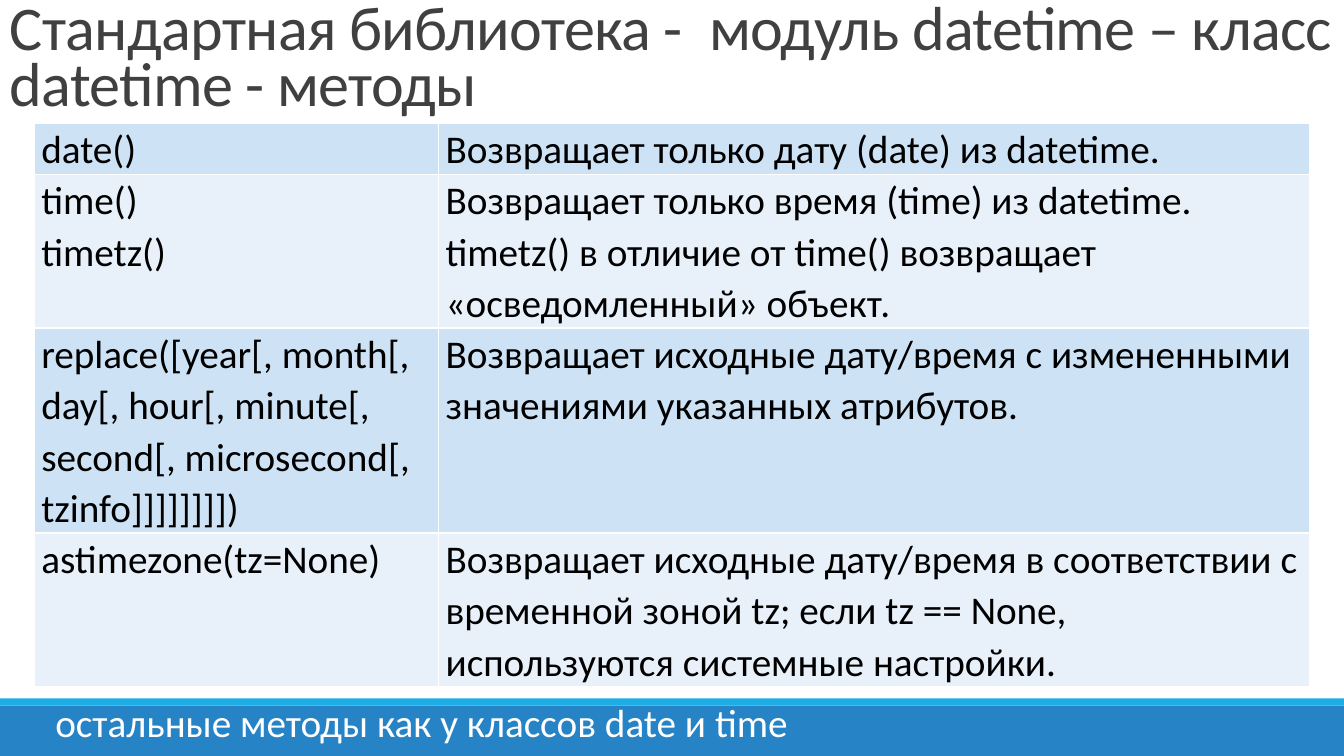
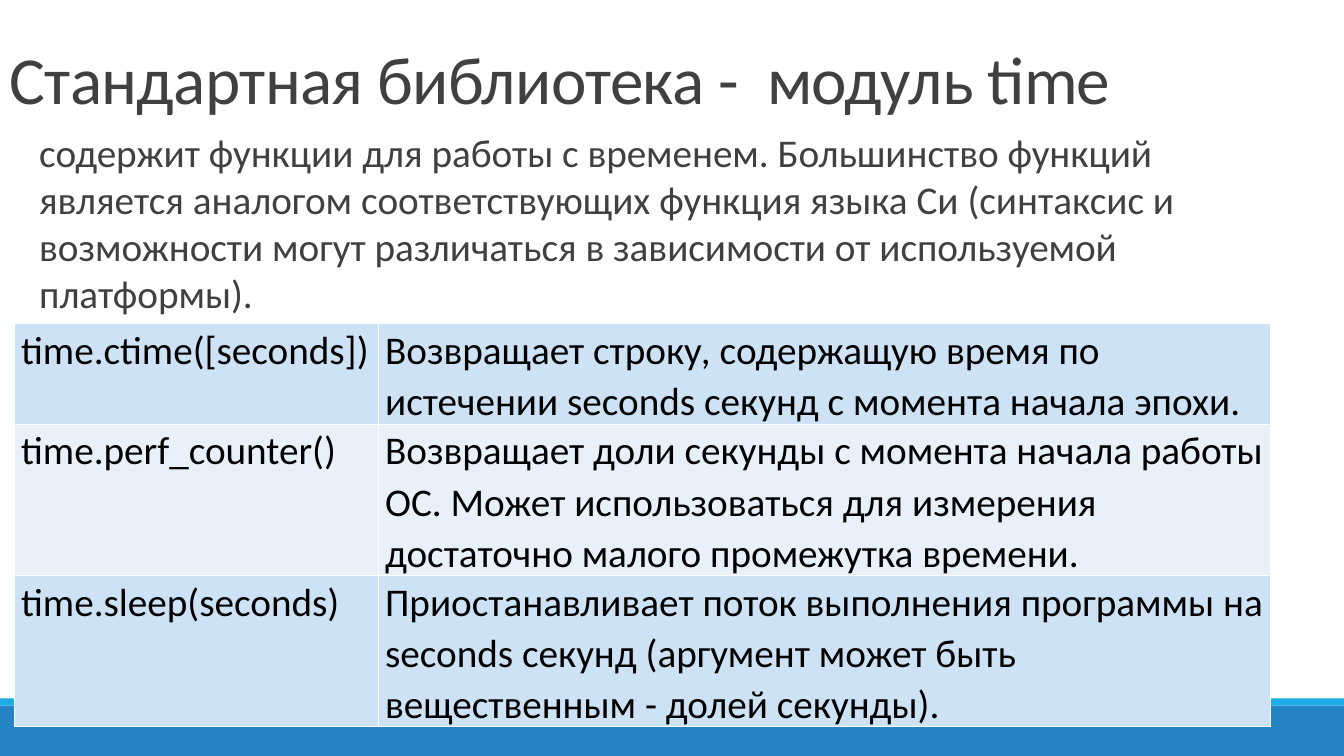
from lxml.etree import SubElement
from pptx import Presentation
from pptx.dml.color import RGBColor
from pptx.enum.shapes import MSO_SHAPE
from pptx.enum.text import MSO_ANCHOR, MSO_AUTO_SIZE
from pptx.oxml.ns import qn
from pptx.util import Emu, Pt

PX = 9144  # 100 px to the inch
WIDTH, HEIGHT = 1333, 750
FONT = "Calibri"
BODY_SIZE = 28
LINE_HEIGHT = 50
TITLE_HEIGHT = 122
BAND_TOP, STRIPE_HEIGHT = 700, 7
DARK, BLACK, WHITE = "404040", "000000", "FFFFFF"
BAND, STRIPE = "2683C6", "1CADE4"
ROW_FILLS = ("CDE3F5", "E8F1FA")


def px(*lengths):
    return [Emu(length * PX) for length in lengths]


def color(hex_string):
    return RGBColor.from_string(hex_string)


class Slides:
    def __init__(self):
        self.deck = Presentation()
        self.deck.slide_width, self.deck.slide_height = px(WIDTH, HEIGHT)
        self.page = None

    def add_page(self, title, size, spacing):
        self.page = self.deck.slides.add_slide(self.deck.slide_layouts[6])
        self.rectangle(0, BAND_TOP, WIDTH, HEIGHT - BAND_TOP, BAND)
        self.rectangle(0, BAND_TOP - STRIPE_HEIGHT, WIDTH, STRIPE_HEIGHT, STRIPE)
        frame = self.text(0, 0, WIDTH, TITLE_HEIGHT, title, DARK, size)
        frame.auto_size = MSO_AUTO_SIZE.NONE
        frame.vertical_anchor = MSO_ANCHOR.BOTTOM
        para = frame.paragraphs[0]
        para.line_spacing = spacing
        for span in para.runs:
            span._r.get_or_add_rPr().set("spc", "-50")

    def rectangle(self, left, top, width, height, fill):
        box = self.page.shapes.add_shape(
            MSO_SHAPE.RECTANGLE, *px(left, top, width, height))
        box.shadow.inherit = False
        box.fill.solid()
        box.fill.fore_color.rgb = color(fill)
        box.line.fill.background()

    def add_span(self, para, text, ink, size=BODY_SIZE):
        span = para.add_run()
        span.text = text
        span.font.name = FONT
        span.font.size = Pt(size)
        span.font.color.rgb = color(ink)

    def text(self, left, top, width, height, text, ink, size=BODY_SIZE, wrap=True):
        box = self.page.shapes.add_textbox(*px(left, top, width, height))
        frame = box.text_frame
        frame.word_wrap = wrap
        frame.auto_size = MSO_AUTO_SIZE.SHAPE_TO_FIT_TEXT
        self.add_span(frame.paragraphs[0], text, ink, size)
        return frame

    def table(self, left, top, widths, rows):
        """Each row is (line count, name, description)."""
        heights = [row[0] * LINE_HEIGHT for row in rows]
        table = self.page.shapes.add_table(
            len(rows), len(widths),
            *px(left, top, sum(widths), sum(heights))).table
        table.first_row = table.horz_banding = False
        for column, width in zip(table.columns, px(*widths)):
            column.width = width
        for index, (_, *texts) in enumerate(rows):
            table.rows[index].height = px(heights[index])[0]
            for cell, text in zip(table.rows[index].cells, texts):
                self.fill_cell(cell, text, ROW_FILLS[index % 2])

    def fill_cell(self, cell, text, fill):
        properties = cell._tc.get_or_add_tcPr()
        for side in ("a:lnL", "a:lnR", "a:lnT", "a:lnB"):
            line = SubElement(properties, qn(side), w=str(Pt(1)))
            paint = SubElement(line, qn("a:solidFill"))
            SubElement(paint, qn("a:srgbClr"), val=WHITE)
        cell.fill.solid()
        cell.fill.fore_color.rgb = color(fill)
        cell.margin_left, cell.margin_right, cell.margin_top, cell.margin_bottom = px(7, 7, 0, 0)
        frame = cell.text_frame
        for index, line_text in enumerate(text.split("\n")):
            para = frame.add_paragraph() if index else frame.paragraphs[0]
            para.line_spacing = 1.07
            self.add_span(para, line_text, BLACK)


def main():
    slides = Slides()

    slides.add_page("Стандартная библиотека -  модуль datetime – класс datetime - методы", 44.4, 0.75)
    slides.table(34, 122, (401, 864), [
        (1, "date()", "Возвращает только дату (date) из datetime."),
        (3, "time()\ntimetz()",
         "Возвращает только время (time) из datetime. timetz() в отличие от time() "
         "возвращает «осведомленный» объект."),
        (4, "replace([year[, month[, day[, hour[, minute[, second[, microsecond[, tzinfo]]]]]]]])",
         "Возвращает исходные дату/время с измененными значениями указанных атрибутов."),
        (3, "astimezone(tz=None)",
         "Возвращает исходные дату/время в соответствии с временной зоной tz; "
         "если tz == None, используются системные настройки."),
    ])
    slides.text(45, 688, 755, 57, "остальные методы как у классов date и time", WHITE, wrap=False)

    slides.add_page("Стандартная библиотека -  модуль time", 48, 0.85)
    slides.text(
        29, 122, 1158, 199,
        "содержит функции для работы с временем. Большинство функций является аналогом "
        "соответствующих функция языка Си (синтаксис и возможности могут различаться "
        "в зависимости от используемой платформы).", DARK)
    slides.table(14, 321, (361, 885), [
        (2, "time.ctime([seconds])",
         "Возвращает строку, содержащую время по истечении seconds секунд с момента начала эпохи."),
        (3, "time.perf_counter()",
         "Возвращает доли секунды с момента начала работы ОС. Может использоваться "
         "для измерения достаточно малого промежутка времени."),
        (3, "time.sleep(seconds)",
         "Приостанавливает поток выполнения программы на seconds секунд "
         "(аргумент может быть вещественным - долей секунды)."),
    ])

    slides.deck.save("out.pptx")


if __name__ == "__main__":
    main()
